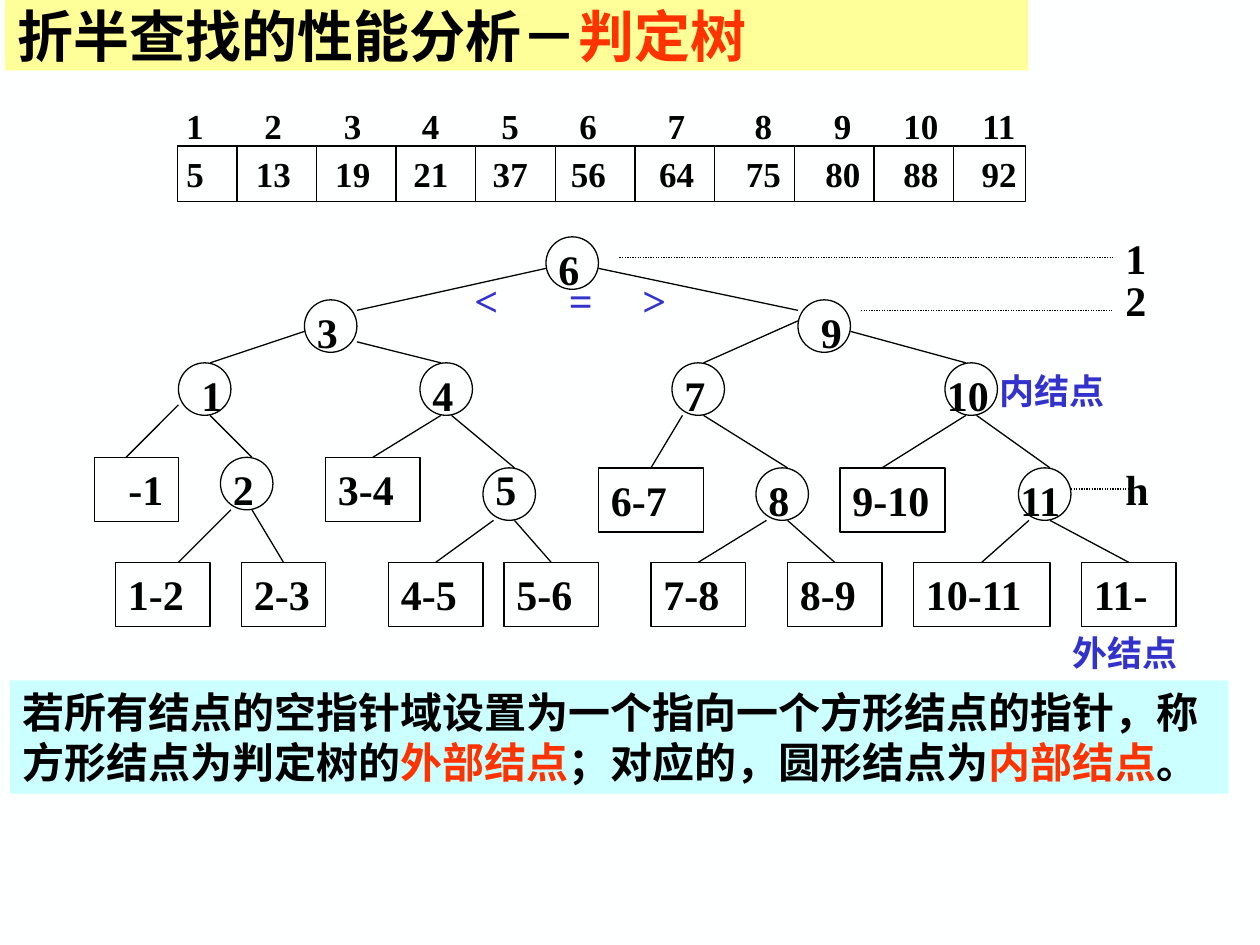
from lxml import etree
from pptx import Presentation
from pptx import util as u
from pptx.dml.color import RGBColor
from pptx.enum import dml, shapes, text
from pptx.oxml.ns import qn

SERIF, SANS = "Times New Roman", "Noto Sans CJK SC"
BLACK, BLUE, RED = "000000", "3333CC", "FF3300"
UNIT = 1 / 12
CIRCLE = 5

# key, x, y, label shift x, label shift y, label width, link from the parent
NODES = [
    ("6", 43, 0, 0, 0, 6, None),
    ("3", 20, 6, 0, 0, 6, (43, 3, 25, 7)),
    ("9", 67, 6, 1, 0, 8, (48, 3, 67, 7)),
    ("1", 8, 12, 1, 0, 7, (20, 9, 11, 12)),
    ("4", 31, 12, 0, 0, 6, (25, 10, 33, 12)),
    ("7", 55, 12, 0, 0, 6, (67, 8, 58, 12)),
    ("10", 81, 12, -1, 0, 8, (72, 9, 83, 12)),
    ("2", 12, 21, 0, 0, 5, (11, 17, 15, 21)),
    ("5", 37, 22, 0, -1, 7, (34, 17, 40, 22)),
    ("8", 63, 22, 0, 0, 7, (58, 17, 66, 22)),
    ("11", 88, 22, -1, 0, 7, (84, 17, 91, 22)),
]
# range, x, y, width, link from the parent
LEAVES = [
    ("-1", 0, 21, 8, (8, 16, 3, 21)),
    ("3-4", 22, 21, 9, (33, 17, 27, 21)),
    ("6-7", 48, 22, 10, (56, 17, 53, 22)),
    ("9-10", 71, 22, 10, (83, 17, 75, 22)),
    ("1-2", 2, 31, 9, (13, 26, 8, 31)),
    ("2-3", 14, 31, 8, (15, 26, 18, 31)),
    ("4-5", 28, 31, 9, (38, 27, 32, 31)),
    ("5-6", 39, 31, 9, (40, 27, 44, 31)),
    ("7-8", 53, 31, 9, (64, 27, 57, 31)),
    ("8-9", 66, 31, 9, (66, 27, 71, 31)),
    ("10-11", 78, 31, 13, (89, 27, 84, 31)),
    ("11-", 94, 31, 9, (91, 27, 99, 31)),
]
LEVEL_LINES = [(50, 2, 97, 2), (73, 7, 97, 7), (93, 24, 99, 24)]
# wording, x, y, width, height, size, colour
NOTES = [
    ("1", 97, -1, 6, 6, 24, BLACK),
    ("2", 97, 3, 7, 6, 24, BLACK),
    ("h", 97, 21, 6, 6, 24, BLACK),
    ("外结点", 92, 37, 13, 5.2, 20, BLUE),
    ("内结点", 85, 12, 13, 5.2, 20, BLUE),
    (">", 51, 3, 9, 6, 24, BLUE),
    ("<", 35, 3, 6, 6, 24, BLUE),
    ("=", 44, 3, 7, 6, 24, BLUE),
]
VALUES = [5, 13, 19, 21, 37, 56, 64, 75, 80, 88, 92]
TAB_STOPS = [0.69, 1.32, 1.94, 2.57, 3.19, 3.89, 4.58, 5.21, 5.83, 6.45]


def color(value):
    """Turn a hex string into a colour."""
    return RGBColor.from_string(value)


def write(sp, runs, size, font=SERIF, wrap=True, tabs=(), anchor=text.MSO_ANCHOR.TOP):
    """Fill a shape with one paragraph of (wording, colour) runs."""
    tf = sp.text_frame
    tf.word_wrap = wrap
    tf.vertical_anchor = anchor
    p = tf.paragraphs[0]
    p.alignment = text.PP_ALIGN.LEFT
    if tabs:
        tab_list = etree.SubElement(p._p.get_or_add_pPr(), qn("a:tabLst"))
        for stop in tabs:
            etree.SubElement(tab_list, qn("a:tab"), pos=str(u.Inches(stop)), algn="ctr")
    for wording, value in runs:
        r = p.add_run()
        r.text = wording
        r.font.size, r.font.bold, r.font.name = u.Pt(size), True, font
        r.font.color.rgb = color(value)
        etree.SubElement(r._r.get_or_add_rPr(), qn("a:ea"), typeface=SANS)
    return p


def add_box(parent, box, kind=shapes.MSO_SHAPE.RECTANGLE, fill=None):
    """Add a shape that is either filled or outlined in black."""
    sp = parent.add_shape(kind, *map(u.Inches, box))
    sp.shadow.inherit = False
    if fill:
        sp.fill.solid()
        sp.fill.fore_color.rgb = color(fill)
        sp.line.fill.background()
    else:
        sp.fill.background()
        sp.line.color.rgb = color(BLACK)
        sp.line.width = u.Pt(0.75)
    return sp


def add_label(parent, box, wording, size=24, value=BLACK, **options):
    """Add a text box with one run."""
    write(parent.add_textbox(*map(u.Inches, box)), [(wording, value)], size, **options)


def add_line(parent, ends, dotted=False):
    """Add a thin black straight connector."""
    line = parent.add_connector(shapes.MSO_CONNECTOR.STRAIGHT, *map(u.Inches, ends))
    line.line.color.rgb = color(BLACK)
    line.line.width = u.Pt(0.75)
    if dotted:
        line.line.dash_style = dml.MSO_LINE.ROUND_DOT
    etree.SubElement(line._element.spPr, qn("a:effectLst"))
    return line


def add_array(s, left, top, width, height):
    """Draw the sorted array with its index row above."""
    parent = s.shapes.add_group_shape().shapes
    indexes = "\t".join(str(i + 1) for i in range(len(VALUES)))
    add_label(parent, (left - 0.03, top - 0.38, 6.8, 0.43), indexes, 20,
              wrap=False, tabs=TAB_STOPS)
    sp = add_box(parent, (left, top, width, height))
    sp.text_frame.margin_left = u.Inches(0.07)
    write(sp, [("\t".join(map(str, VALUES)), BLACK)], 20, wrap=False,
          tabs=TAB_STOPS, anchor=text.MSO_ANCHOR.MIDDLE)
    for i in range(len(VALUES) - 1):
        x = left + 0.47 + i * 0.632
        add_line(parent, (x, top, x, top + height))


def add_tree(s, left, top):
    """Draw the decision tree on a grid of twelfths of an inch."""
    parent = s.shapes.add_group_shape().shapes

    def place(x, y, w, h):
        return left + x * UNIT, top + y * UNIT, w * UNIT, h * UNIT

    def link(ends, dotted=False):
        x1, y1, x2, y2 = ends
        return add_line(parent, place(x1, y1, 0, 0)[:2] + place(x2, y2, 0, 0)[:2], dotted)

    for key, x, y, dx, dy, w, ends in NODES:
        add_box(parent, place(x, y, CIRCLE, CIRCLE), shapes.MSO_SHAPE.OVAL)
        add_label(parent, place(x + dx, y + dy, w, 6), key)
        if ends:
            link(ends)
    for key, x, y, w, ends in LEAVES:
        sp = add_box(parent, place(x, y, w, 6.12))
        p = write(sp, [(key, BLACK)], 24)
        if key.startswith("-"):
            p._p.get_or_add_pPr().set("marL", str(u.Inches(0.17)))
        line = link(ends)
        if abs(x + w / 2 - ends[2]) <= 0.5:
            line.end_connect(sp, 0)
    for ends in LEVEL_LINES:
        link(ends, dotted=True)
    for wording, x, y, w, h, size, value in NOTES:
        add_label(parent, place(x, y, w, h), wording, size, value)


def add_banner(s, box, fill, runs, size, anchor=text.MSO_ANCHOR.TOP):
    """Add a filled band of text."""
    write(add_box(s.shapes, box, fill=fill), runs, size, SANS, anchor=anchor)


def main():
    """Build and save the slide."""
    prs = Presentation()
    prs.slide_width, prs.slide_height = u.Inches(10), u.Inches(7.5)
    s = prs.slides.add_slide(prs.slide_layouts[6])
    s.background.fill.solid()
    s.background.fill.fore_color.rgb = color("FEFFFF")
    add_tree(s, 0.75, 1.88)
    add_banner(s, (0.04, 0, 8.12, 0.56), "FFFF99",
               [("折半查找的性能分析－", BLACK), ("判定树", RED)], 32, text.MSO_ANCHOR.MIDDLE)
    add_array(s, 1.41, 1.16, 6.73, 0.44)
    add_banner(s, (0.08, 5.4, 9.67, 0.9), "CCFFFF", [
        ("若所有结点的空指针域设置为一个指向一个方形结点的指针，称方形结点为判定树的", BLACK),
        ("外部结点", RED), ("；对应的，圆形结点为", BLACK),
        ("内部结点", RED), ("。", BLACK)], 24)
    prs.save("out.pptx")


if __name__ == "__main__":
    main()
